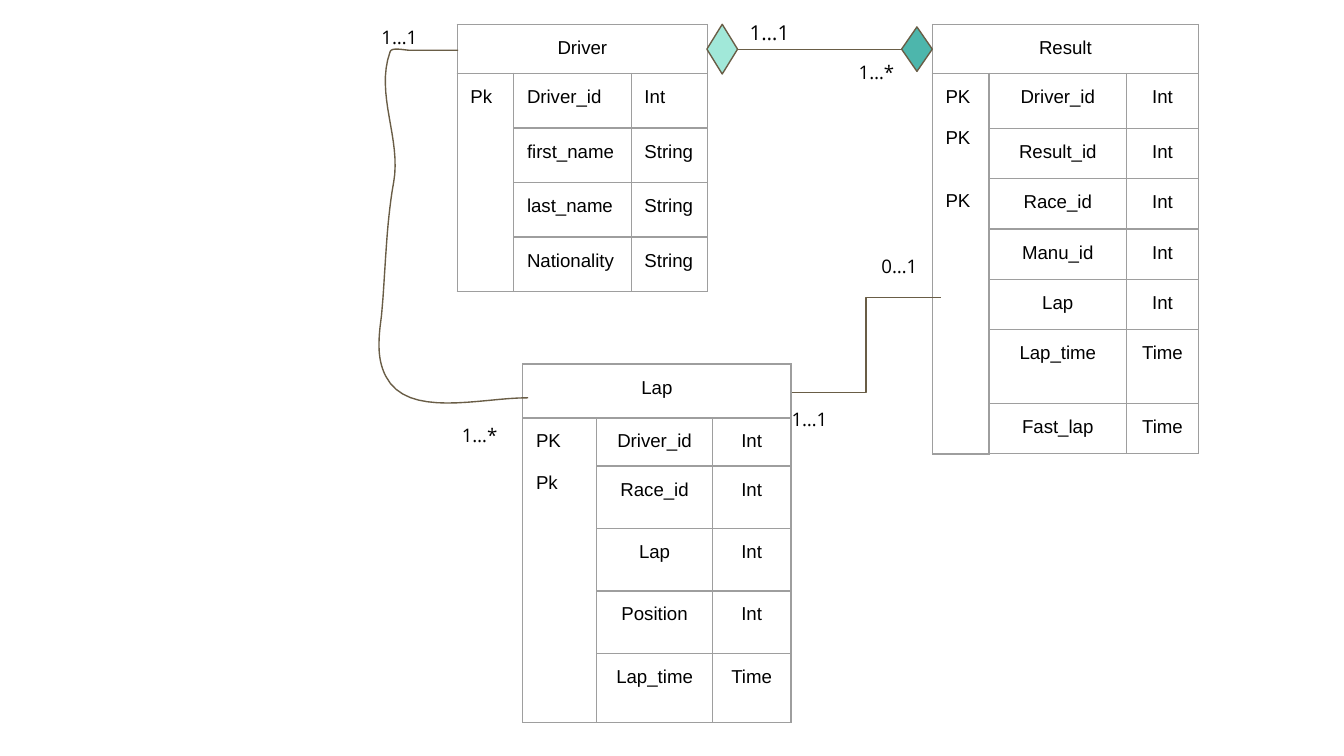
import pptx
import pptx.dml.color
import pptx.enum.shapes
import pptx.enum.text
import pptx.oxml
import pptx.oxml.ns
import pptx.util
from pptx.util import Cm

COLORS = {
    "text": "000000", "cell": "FFFFFF", "border": "9E9E9E",
    "line": "695D46", "light": "A1E8D9", "teal": "4DB6AC",
}
ALIGN = pptx.enum.text.PP_ALIGN
LINE_WIDTH = pptx.util.Pt(0.75)
INSET = Cm(0.25)


def rgb(name):
    return pptx.dml.color.RGBColor.from_string(COLORS[name])


def write(paragraph, text, size=10, font="Arial", align=ALIGN.LEFT, before=0):
    paragraph.alignment = align
    paragraph.space_before = pptx.util.Pt(before)
    run = paragraph.add_run()
    run.text = text
    run.font.size = pptx.util.Pt(size)
    run.font.name = font
    run.font.color.rgb = rgb("text")


def bezier(p0, p1, p2, p3, steps=16):
    """Points after p0 along a cubic curve."""
    for step in range(1, steps + 1):
        t = step / steps
        u = 1 - t
        yield tuple(
            Cm(u**3 * a + 3 * u * u * t * b + 3 * u * t * t * c + t**3 * d)
            for a, b, c, d in zip(p0, p1, p2, p3))


class Diagram:
    """Style and current slide of an entity-relationship diagram."""

    def __init__(self, slide):
        self.slide = slide
        self.shapes = slide.shapes

    def style_line(self, item):
        item.line.color.rgb = rgb("line")
        item.line.width = LINE_WIDTH

    def style_cell(self, cell):
        cell.margin_left = cell.margin_right = INSET
        cell.margin_top = cell.margin_bottom = INSET
        properties = cell._tc.get_or_add_tcPr()
        for side in ("lnL", "lnR", "lnT", "lnB"):
            properties.append(pptx.oxml.parse_xml(
                f'<a:{side} {pptx.oxml.ns.nsdecls("a")} w="{LINE_WIDTH}">'
                f'<a:solidFill><a:srgbClr val="{COLORS["border"]}"/></a:solidFill>'
                f'</a:{side}>'))
        cell.fill.solid()
        cell.fill.fore_color.rgb = rgb("cell")

    def table(self, left, top, widths, heights):
        table = self.shapes.add_table(
            len(heights), len(widths), Cm(left), Cm(top),
            Cm(sum(widths)), Cm(sum(heights))).table
        table.first_row = table.horz_banding = False
        for column, width in zip(table.columns, widths):
            column.width = Cm(width)
        for row, height in zip(table.rows, heights):
            row.height = Cm(height)
        for cell in table.iter_cells():
            self.style_cell(cell)
        return table

    def entity(self, name, left, top, header, key_width, keys, widths, heights,
               fields, align=ALIGN.CENTER):
        """Header, key column and field grid; keys are (text, space before)."""
        title = self.table(left, top, [key_width + sum(widths)], [header])
        write(title.cell(0, 0).text_frame.paragraphs[0], name, align=ALIGN.CENTER)

        body_top = top + header
        key_frame = self.table(
            left, body_top, [key_width], [sum(heights)]).cell(0, 0).text_frame
        for index, (key, before) in enumerate(keys):
            paragraph = key_frame.add_paragraph() if index else key_frame.paragraphs[0]
            write(paragraph, key, before=before)

        grid = self.table(left + key_width, body_top, widths, heights)
        for row, field in enumerate(fields):
            for column, text in enumerate(field):
                write(grid.cell(row, column).text_frame.paragraphs[0], text, align=align)

    def diamond(self, left, top, width, height, color):
        diamond = self.shapes.add_shape(
            pptx.enum.shapes.MSO_SHAPE.FLOWCHART_DECISION,
            Cm(left), Cm(top), Cm(width), Cm(height))
        diamond.shadow.inherit = False
        diamond.fill.solid()
        diamond.fill.fore_color.rgb = rgb(color)
        self.style_line(diamond)
        return diamond

    def connector(self, kind, x1, y1, x2, y2):
        link = self.shapes.add_connector(kind, Cm(x1), Cm(y1), Cm(x2), Cm(y2))
        link._element.spPr.append(pptx.oxml.parse_xml(
            f'<a:effectLst {pptx.oxml.ns.nsdecls("a")}/>'))
        self.style_line(link)
        return link

    def curve(self, start, segments):
        builder = self.shapes.build_freeform(*(Cm(value) for value in start))
        for segment in segments:
            builder.add_line_segments(bezier(start, *segment), close=False)
            start = segment[-1]
        curve = builder.convert_to_shape()
        curve.shadow.inherit = False
        curve.fill.background()
        self.style_line(curve)

    def label(self, text, left, top, width, height=0.94, size=10):
        box = self.shapes.add_textbox(Cm(left), Cm(top), Cm(width), Cm(height))
        frame = box.text_frame
        frame.word_wrap = True
        frame.auto_size = pptx.enum.text.MSO_AUTO_SIZE.SHAPE_TO_FIT_TEXT
        frame.margin_left = frame.margin_right = INSET
        frame.margin_top = frame.margin_bottom = INSET
        write(frame.paragraphs[0], text, size=size, font="Open Sans")


def main():
    deck = pptx.Presentation()
    deck.slide_width, deck.slide_height = Cm(25.4), Cm(14.29)
    diagram = Diagram(deck.slides.add_slide(deck.slide_layouts[6]))
    connector_kind = pptx.enum.shapes.MSO_CONNECTOR

    # Entities
    diagram.entity(
        "Driver", 8.64, 0.46, 0.93, 1.07, [("Pk", 0)], [2.22, 1.44], [1.03] * 4,
        [("Driver_id", "Int"), ("first_name", "String"),
         ("last_name", "String"), ("Nationality", "String")], align=ALIGN.LEFT)
    diagram.entity(
        "Result", 17.62, 0.46, 0.93, 1.07, [("PK", 0), ("PK", 11), ("PK", 22.5)],
        [2.6, 1.36], [1.04] + [0.95] * 4 + [1.4, 0.95],
        [("Driver_id", "Int"), ("Result_id", "Int"), ("Race_id", "Int"),
         ("Manu_id", "Int"), ("Lap", "Int"), ("Lap_time", "Time"),
         ("Fast_lap", "Time")])
    diagram.entity(
        "Lap", 9.88, 6.88, 1.02, 1.4, [("PK", 0), ("Pk", 11)],
        [2.18, 1.49], [0.91] + [1.18] * 3 + [1.31],
        [("Driver_id", "Int"), ("Race_id", "Int"), ("Lap", "Int"),
         ("Position", "Int"), ("Lap_time", "Time")])

    # Driver to Result
    driver_end = diagram.diamond(13.36, 0.46, 0.58, 0.94, "light")
    result_end = diagram.diamond(17.04, 0.51, 0.58, 0.84, "teal")
    driver_result = diagram.connector(
        connector_kind.STRAIGHT, 13.94, 0.93, 17.04, 0.93)
    driver_result.begin_connect(driver_end, 3)
    driver_result.end_connect(result_end, 1)
    diagram.label("1…1", 13.92, 0.15, 2.46, height=0.99, size=11)
    diagram.label("1…*", 15.98, 0.94, 1.24)

    # Driver to Lap
    diagram.label("1…1", 6.96, 0.28, 1.24)
    diagram.curve((8.66, 0.95), [
        ((8.33, 0.95), (8.03, 0.95), (7.72, 0.95)),
        ((7.59, 0.94), (7.39, 0.89), (7.37, 0.99)),
        ((7.09, 1.78), (7.59, 2.64), (7.44, 3.45)),
        ((7.29, 4.29), (7.29, 5.13), (7.21, 5.97)),
        ((7.16, 6.35), (7.11, 6.76), (7.29, 7.11)),
        ((7.7, 7.92), (9.07, 7.52), (9.98, 7.52)),
    ])
    diagram.label("1…*", 8.48, 7.8, 1.4)

    # Lap to Result
    diagram.connector(connector_kind.ELBOW, 14.96, 7.42, 17.78, 5.63)
    diagram.label("1…1", 14.71, 7.49, 1.7)
    diagram.label("0…1", 16.41, 4.6, 1.4)

    deck.save("out.pptx")


if __name__ == "__main__":
    main()
